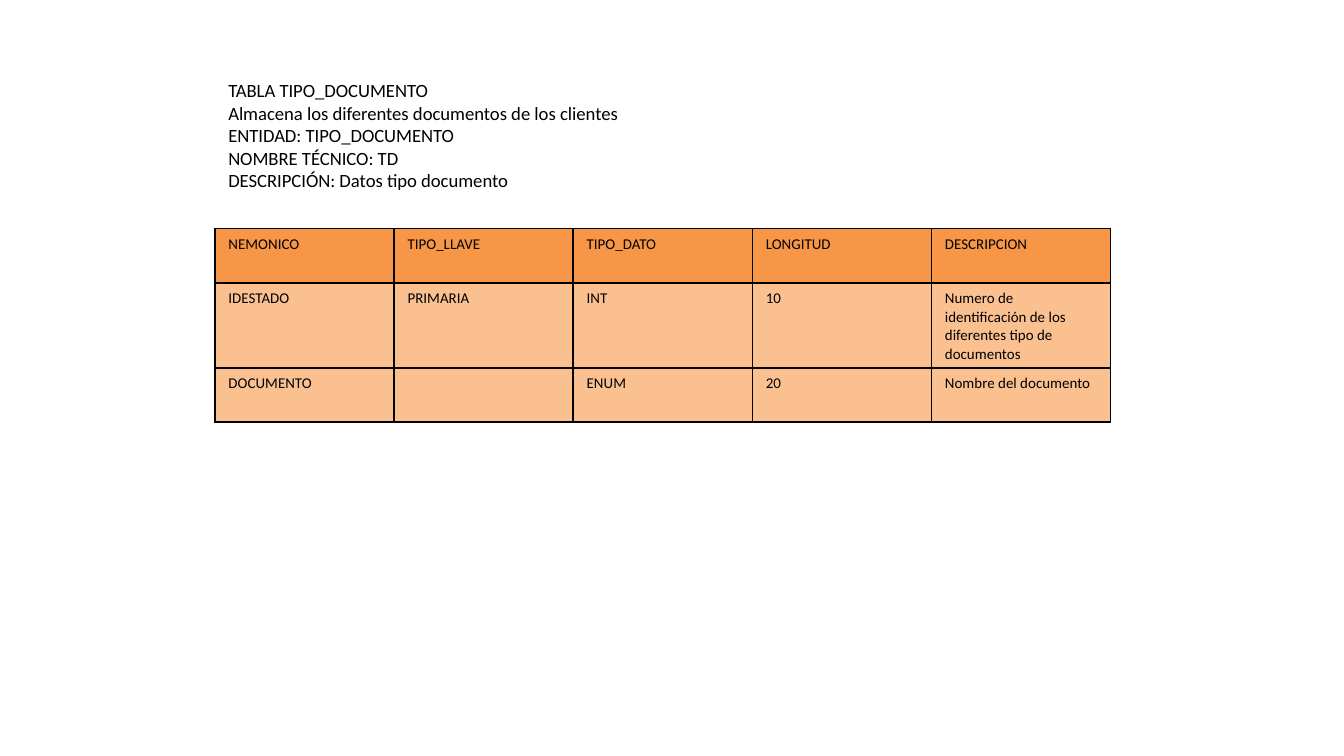
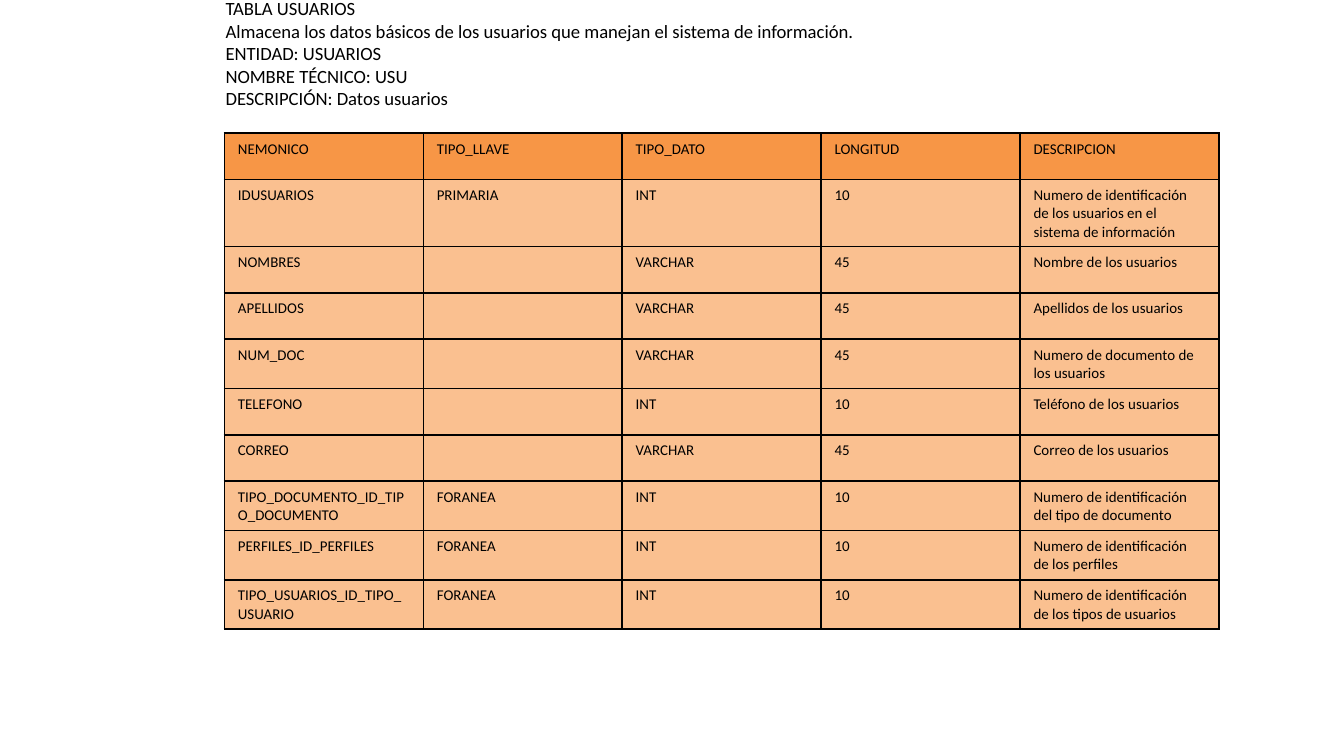
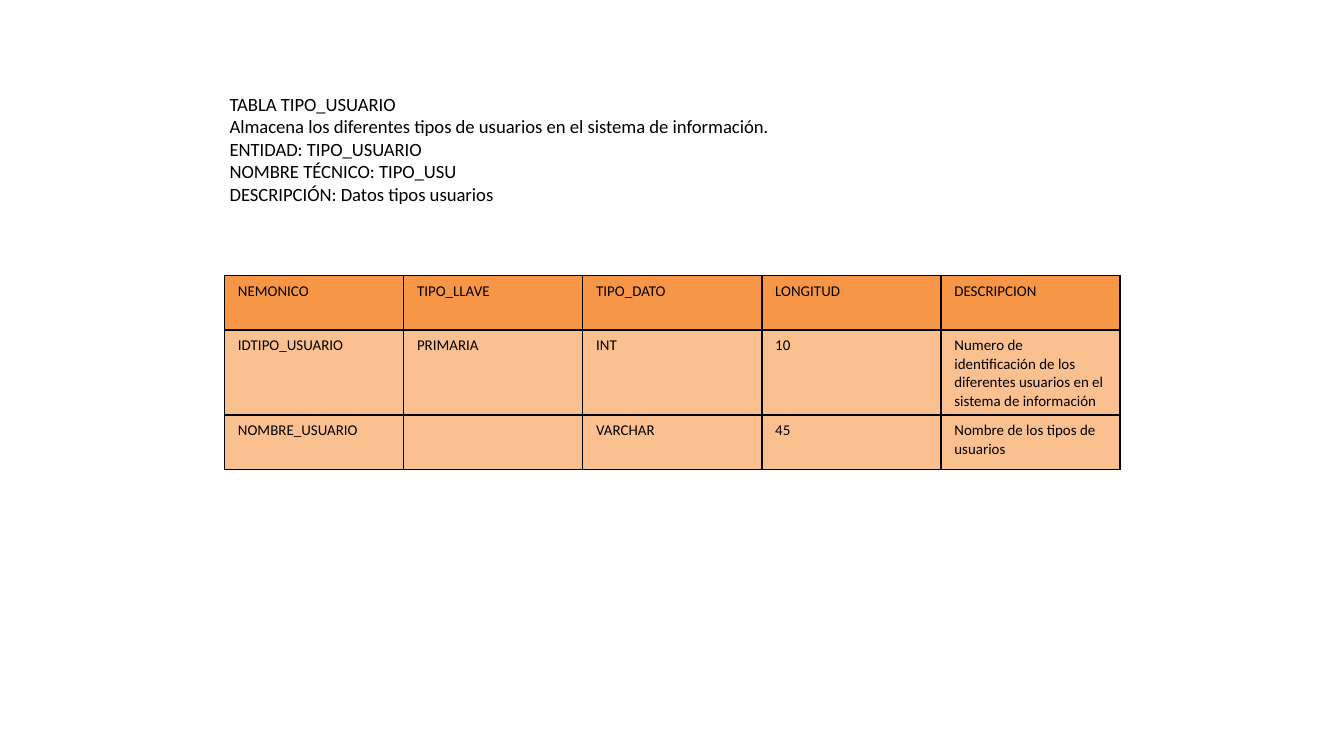
from lxml import etree
from pptx import Presentation
from pptx import util as u
from pptx.dml.color import RGBColor
from pptx.enum import text
from pptx.oxml.ns import qn

GRID = u.Inches(0.1)  # side of one grid square
SLIDE_COLUMNS, SLIDE_ROWS = 100, 56.25
FONT = "Calibri"
BLACK, HEADER_ORANGE, BODY_ORANGE = "000000", "F79646", "FAC090"
INTRO_SIZE, CELL_SIZE = 10, 8
BORDER_SIDES = ("a:lnL", "a:lnR", "a:lnT", "a:lnB")
HEADINGS = ("NEMONICO", "TIPO_LLAVE", "TIPO_DATO", "LONGITUD", "DESCRIPCION")

TIPO_DOCUMENTO = [
    ("IDESTADO", "PRIMARIA", "INT", "10",
     "Numero de identificación de los diferentes tipo de documentos"),
    ("DOCUMENTO", "", "ENUM", "20", "Nombre del documento"),
]
USUARIOS = [
    ("IDUSUARIOS", "PRIMARIA", "INT", "10",
     "Numero de identificación de los usuarios en el sistema de información"),
    ("NOMBRES", "", "VARCHAR", "45", "Nombre de los usuarios"),
    ("APELLIDOS", "", "VARCHAR", "45", "Apellidos de los usuarios"),
    ("NUM_DOC", "", "VARCHAR", "45", "Numero de documento de los usuarios"),
    ("TELEFONO", "", "INT", "10", "Teléfono de los usuarios"),
    ("CORREO", "", "VARCHAR", "45", "Correo de los usuarios"),
    ("TIPO_DOCUMENTO_ID_TIPO_DOCUMENTO", "FORANEA", "INT", "10",
     "Numero de identificación del tipo de documento"),
    ("PERFILES_ID_PERFILES", "FORANEA", "INT", "10",
     "Numero de identificación de los perfiles"),
    ("TIPO_USUARIOS_ID_TIPO_USUARIO", "FORANEA", "INT", "10",
     "Numero de identificación de los tipos de usuarios"),
]
TIPO_USUARIO = [
    ("IDTIPO_USUARIO", "PRIMARIA", "INT", "10",
     "Numero de identificación de los diferentes usuarios en el sistema de información"),
    ("NOMBRE_USUARIO", "", "VARCHAR", "45", "Nombre de los tipos de usuarios"),
]


def squares(count):
    return u.Emu(round(count * GRID))


def color(hex_string):
    return RGBColor.from_string(hex_string)


def format_text(text_frame, size):
    for paragraph in text_frame.paragraphs:
        for run in paragraph.runs:
            run.font.name = FONT
            run.font.size = u.Pt(size)
            run.font.color.rgb = color(BLACK)
        if not paragraph.runs:
            # Keeps an empty cell from stretching its row.
            etree.SubElement(paragraph._p, qn("a:endParaRPr"), sz=str(size * 100))


def add_intro(slide, place, entity, purpose, technical_name, description):
    """Describe the entity in five lines; place is left, top, width, height in squares."""
    box = slide.shapes.add_textbox(*map(squares, place))
    frame = box.text_frame
    frame.word_wrap = True
    frame.auto_size = text.MSO_AUTO_SIZE.SHAPE_TO_FIT_TEXT
    frame.margin_left = frame.margin_right = squares(1)
    frame.margin_top = frame.margin_bottom = squares(1)
    frame.text = "\n".join((
        f"TABLA {entity}",
        purpose,
        f"ENTIDAD: {entity}",
        f"NOMBRE TÉCNICO: {technical_name}",
        f"DESCRIPCIÓN: {description}",
    ))
    format_text(frame, INTRO_SIZE)


def add_borders(cell):
    properties = cell._tc.get_or_add_tcPr()
    for side in BORDER_SIDES:
        line = etree.SubElement(properties, qn(side), w=str(u.Pt(1)))
        fill = etree.SubElement(line, qn("a:solidFill"))
        etree.SubElement(fill, qn("a:srgbClr"), val=BLACK)


def add_field_table(slide, left, top, column_width, row_height, fields):
    """Add the headings and one row per field; lengths are in squares."""
    records = [HEADINGS, *fields]
    frame = slide.shapes.add_table(
        len(records), len(HEADINGS), squares(left), squares(top),
        squares(column_width * len(HEADINGS)), squares(row_height * len(records)))
    table = frame.table
    for column in table.columns:
        column.width = squares(column_width)
    for index, (row, record) in enumerate(zip(table.rows, records)):
        row.height = squares(row_height)
        for cell, value in zip(row.cells, record):
            cell.text = value
            format_text(cell.text_frame, CELL_SIZE)
            add_borders(cell)
            cell.fill.solid()
            cell.fill.fore_color.rgb = color(BODY_ORANGE if index else HEADER_ORANGE)


def main():
    presentation = Presentation()
    presentation.slide_width = squares(SLIDE_COLUMNS)
    presentation.slide_height = squares(SLIDE_ROWS)
    blank = presentation.slide_layouts[6]

    slide = presentation.slides.add_slide(blank)
    add_intro(slide, (16, 4.9, 41.5, 12.1), "TIPO_DOCUMENTO",
              "Almacena los diferentes documentos de los clientes",
              "TD", "Datos tipo documento")
    add_field_table(slide, 16, 17, 13.33, 4.05, TIPO_DOCUMENTO)

    slide = presentation.slides.add_slide(blank)
    add_intro(slide, (15.8, -1.2, 57.8, 12.1), "USUARIOS",
              "Almacena los datos básicos de los usuarios que manejan el sistema de información.",
              "USU", "Datos usuarios")
    add_field_table(slide, 16.7, 9.9, 14.8, 3.45, USUARIOS)

    slide = presentation.slides.add_slide(blank)
    add_intro(slide, (16.1, 5.9, 57.8, 10.4), "TIPO_USUARIO",
              "Almacena los diferentes tipos de usuarios en el sistema de información.",
              "TIPO_USU", "Datos tipos usuarios")
    add_field_table(slide, 16.7, 20.5, 13.33, 4.05, TIPO_USUARIO)

    presentation.save("out.pptx")


if __name__ == "__main__":
    main()
